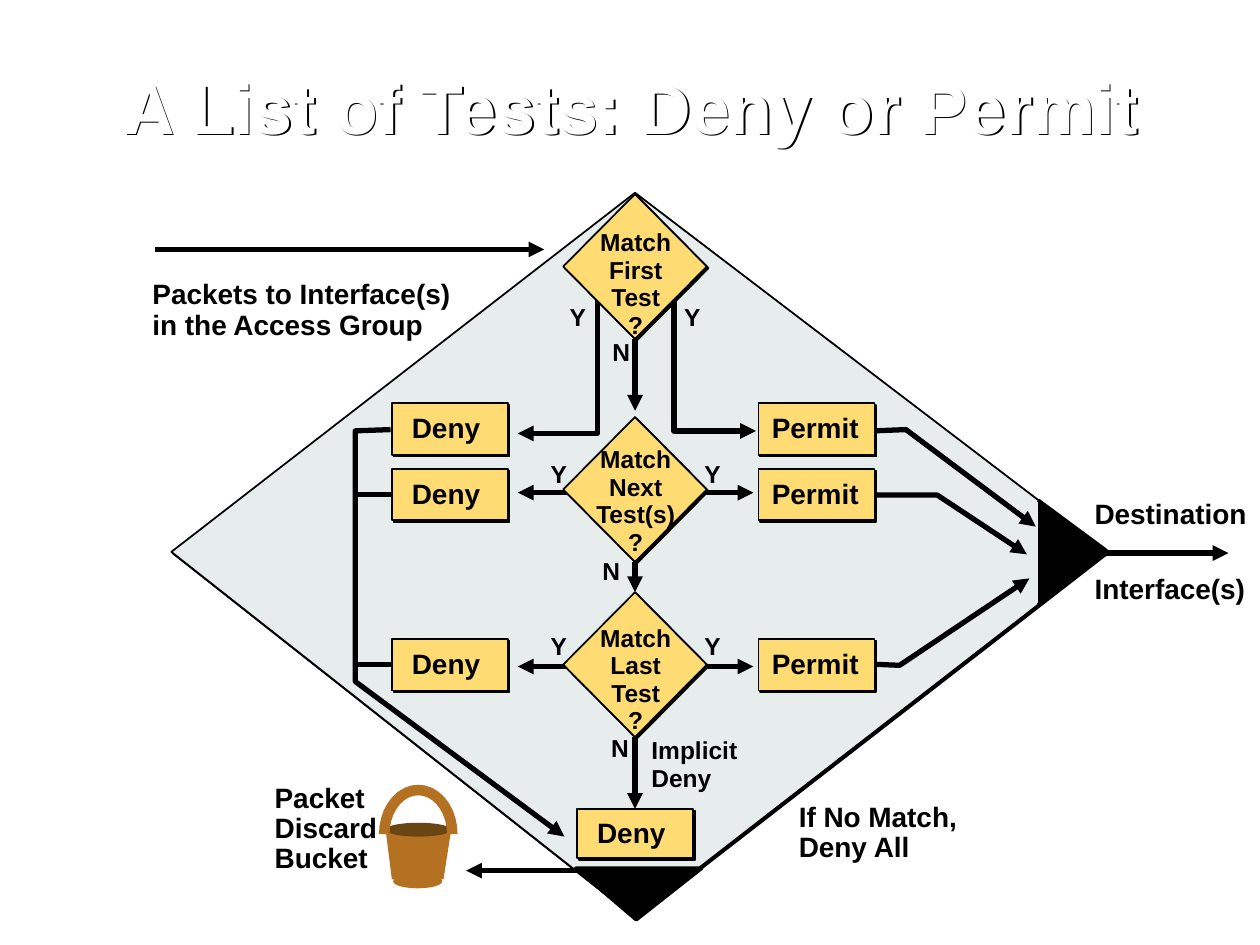
import math

from lxml import etree
from pptx import Presentation
from pptx.dml.color import RGBColor
from pptx.enum.shapes import MSO_CONNECTOR, MSO_SHAPE
from pptx.enum.text import MSO_ANCHOR, PP_ALIGN
from pptx.oxml.ns import qn
from pptx.util import Inches, Pt

STRAIGHT = MSO_CONNECTOR.STRAIGHT
RECT, DIAMOND, OVAL = MSO_SHAPE.RECTANGLE, MSO_SHAPE.DIAMOND, MSO_SHAPE.OVAL
LEFT, CENTER = PP_ALIGN.LEFT, PP_ALIGN.CENTER
MIDDLE = MSO_ANCHOR.MIDDLE
TOP_SITE, LEFT_SITE, BOTTOM_SITE = 0, 1, 2

FONT = "Arial"
COLORS = {
    "black": "000000",
    "white": "FFFFFF",
    "field": "E7EDED",
    "box": "FFDB74",
    "bucket": "B37121",
    "inside": "6B4414",
}
BOX_W, BOX_H = 0.92, 0.41
TEST_X, TEST_W, TEST_H = 4.47, 1.14, 1.15
DENY_X, PERMIT_X, MID_X = 3.11, 6.02, 5.04


def rgb(name):
    return RGBColor.from_string(COLORS[name])


def add_shadow(sp):
    sp.shadow.inherit = False
    effects = sp._element.spPr.find(qn("a:effectLst"))
    shadow = etree.SubElement(effects, qn("a:outerShdw"), dist=str(Pt(1.4)),
                              dir="2700000", algn="ctr", rotWithShape="0")
    etree.SubElement(shadow, qn("a:srgbClr"), val=COLORS["black"])


def style(sp, fill=None, line=None, width=1, shadow=False):
    sp.shadow.inherit = False
    if fill:
        sp.fill.solid()
        sp.fill.fore_color.rgb = rgb(fill)
    else:
        sp.fill.background()
    if line:
        sp.line.color.rgb = rgb(line)
        sp.line.width = Pt(width)
    else:
        sp.line.fill.background()
    if shadow:
        add_shadow(sp)
    return sp


def add_arrowheads(sp, *ends):
    ln = sp._element.spPr.find(qn("a:ln"))
    for end in ends:
        etree.SubElement(ln, qn(f"a:{end}"), type="triangle")


def format_text(tf, text, size, align, spacing=None, color="black"):
    tf.text = text
    for p in tf.paragraphs:
        p.alignment = align
        p.font.name, p.font.size, p.font.bold = FONT, Pt(size), True
        p.font.color.rgb = rgb(color)
        if spacing:
            p.line_spacing = spacing


def add_label(s, text, x, y, w, h, size=16, spacing=18, align=LEFT):
    tf = s.shapes.add_textbox(Inches(x), Inches(y), Inches(w), Inches(h)).text_frame
    tf.word_wrap = True
    tf.margin_left = tf.margin_right = Inches(0.02)
    tf.margin_top = tf.margin_bottom = Inches(0.03)
    format_text(tf, text, size, align, Pt(spacing))


def add_preset(s, kind, x, y, w, h, *args, **kwargs):
    sp = s.shapes.add_shape(kind, Inches(x), Inches(y), Inches(w), Inches(h))
    return style(sp, *args, **kwargs)


def add_outline(s, points, *args, close=True, **kwargs):
    points = [(Inches(x), Inches(y)) for x, y in points]
    builder = s.shapes.build_freeform(*points[0])
    builder.add_line_segments(points[1:], close=close)
    return style(builder.convert_to_shape(), *args, **kwargs)


def add_bent_arrow(s, points):
    sp = add_outline(s, points, line="black", width=3, close=False)
    add_arrowheads(sp, "tailEnd")


def add_line(s, start, end, heads=("tailEnd",), begin=None, finish=None):
    c = s.shapes.add_connector(STRAIGHT, *map(Inches, start + end))
    c.line.color.rgb = rgb("black")
    c.line.width = Pt(3)
    add_arrowheads(c, *heads)
    etree.SubElement(c._element.spPr, qn("a:effectLst"))
    if begin:
        c.begin_connect(*begin)
    if finish:
        c.end_connect(*finish)


def add_box(s, text, x, y, h=BOX_H, right=0.02):
    sp = add_preset(s, RECT, x, y, BOX_W, h, "box", "black", shadow=True)
    tf = sp.text_frame
    tf.margin_left = tf.margin_top = 0
    tf.margin_right, tf.margin_bottom = Inches(right), Inches(0.02)
    tf.vertical_anchor = MIDDLE
    format_text(tf, text, 16, CENTER)
    return sp


def add_deny(s, x, y, h=BOX_H):
    return add_box(s, "Deny", x, y, h, right=0.06)


def add_test(s, word, y, text_y):
    sp = add_preset(s, DIAMOND, TEST_X, y, TEST_W, TEST_H, "box", "black", shadow=True)
    add_label(s, f"Match\n{word}\n?", 4.5, text_y, 1.09, 0.95, 14, 15.7, CENTER)
    return sp


def add_title(s, text):
    sp = s.shapes.add_textbox(Inches(0.84), Inches(0.26), Inches(8.34), Inches(1.25))
    # The shadow of an unfilled box falls from its letters
    style(sp, shadow=True)
    tf = sp.text_frame
    tf.word_wrap = True
    tf.vertical_anchor = MIDDLE
    format_text(tf, text, 40, CENTER, 0.9, "white")


def add_bucket(s):
    add_preset(s, OVAL, 3.12, 6.94, 0.39, 0.11, "bucket")
    add_outline(s, [(3.06, 6.58), (3.11, 6.98), (3.52, 6.98), (3.58, 6.59)], "bucket")
    add_preset(s, OVAL, 3.06, 6.53, 0.52, 0.11, "inside")
    angles = [math.radians(a) for a in range(180, -1, -10)]
    handle = [(3.32 + 0.27 * math.cos(a), 6.62 - 0.35 * math.sin(a)) for a in angles]
    add_outline(s, handle, line="bucket", width=6, close=False)


def main():
    prs = Presentation()
    prs.slide_width, prs.slide_height = Inches(10), Inches(7.5)
    s = prs.slides.add_slide(prs.slide_layouts[6])
    add_title(s, "A List of Tests: Deny or Permit")

    # Field with its two black exit corners
    add_outline(s, [(1.36, 4.38), (5.04, 1.53), (8.78, 4.38), (5.04, 7.28)],
                "field", "black", shadow=True)
    add_outline(s, [(8.24, 4.8), (8.78, 4.37), (8.24, 3.97)], "black", "black", 2, close=False)
    add_outline(s, [(4.57, 6.89), (5.05, 7.3), (5.57, 6.89)], "black", "black", 2)

    # Ways in and out
    add_line(s, (1.23, 1.98), (4.32, 1.98))
    add_line(s, (4.61, 6.91), (3.7, 6.91))
    add_line(s, (8.77, 4.39), (9.75, 4.39))
    add_label(s, "Packets to Interface(s)\nin the Access Group", 1.19, 2.18, 2.83, 0.72)
    add_label(s, "Destination", 8.58, 3.93, 1.42, 0.47, align=CENTER)
    add_label(s, "Interface(s)", 8.58, 4.52, 1.41, 0.47, align=CENTER)
    add_bucket(s)
    add_label(s, "Packet\nDiscard\nBucket", 2.16, 6.2, 0.88, 0.77, spacing=16.9)
    add_label(s, "If No Match,\nDeny All", 6.32, 6.35, 1.54, 0.69, spacing=16.9)

    # Bent arrows
    for points in (
        [(5.35, 2.23), (5.35, 3.42), (6, 3.42)],
        [(4.74, 2.09), (4.74, 3.44), (4.11, 3.44)],
        [(3.1, 3.41), (2.82, 3.42), (2.82, 5.41), (4.48, 6.64)],
        [(6.94, 3.42), (7.19, 3.41), (8.22, 4.18)],
        [(6.95, 3.93), (7.44, 3.93), (8.15, 4.4)],
        [(6.89, 5.27), (7.14, 5.28), (8.17, 4.59)],
    ):
        add_bent_arrow(s, points)

    # Double arrows run behind the second and third tests
    for y in (3.91, 5.29):
        add_line(s, (4.11, y), (5.98, y), ("headEnd", "tailEnd"))

    # Tests
    first, following, last = [add_test(s, *test) for test in (
        ("First\nTest", 1.54, 1.79),
        ("Next\nTest(s)", 3.31, 3.51),
        ("Last\nTest", 4.7, 4.93),
    )]

    # Outcome boxes; the lower two Deny boxes join the discard line
    for y in (3.2, 3.72, 5.07):
        deny = add_deny(s, DENY_X, y)
        add_box(s, "Permit", PERMIT_X, y)
        if y > 3.2:
            mid_y = y + BOX_H / 2
            add_line(s, (DENY_X, mid_y), (2.81, mid_y), (), (deny, LEFT_SITE))
    implicit_deny = add_deny(s, MID_X - BOX_W / 2, 6.42, 0.39)

    # No-match chain
    add_line(s, (MID_X, 2.69), (MID_X, 3.26), begin=(first, BOTTOM_SITE))
    add_line(s, (MID_X, 4.46), (MID_X, 4.7),
             begin=(following, BOTTOM_SITE), finish=(last, TOP_SITE))
    add_line(s, (MID_X, 5.85), (MID_X, 6.42),
             begin=(last, BOTTOM_SITE), finish=(implicit_deny, TOP_SITE))

    # Branch labels
    for text, x, y in (
        ("Y", 4.5, 2.38), ("Y", 5.41, 2.38), ("N", 4.84, 2.66),
        ("Y", 4.35, 3.63), ("Y", 5.57, 3.63), ("N", 4.76, 4.4),
        ("Y", 4.35, 4.99), ("Y", 5.57, 4.99), ("N", 4.83, 5.8),
    ):
        add_label(s, text, x, y, 0.38, 0.44, 14, 15.7)
    add_label(s, "Implicit\nDeny", 5.15, 5.82, 1.03, 0.63, 14, 15.7)

    prs.save("out.pptx")


if __name__ == "__main__":
    main()
